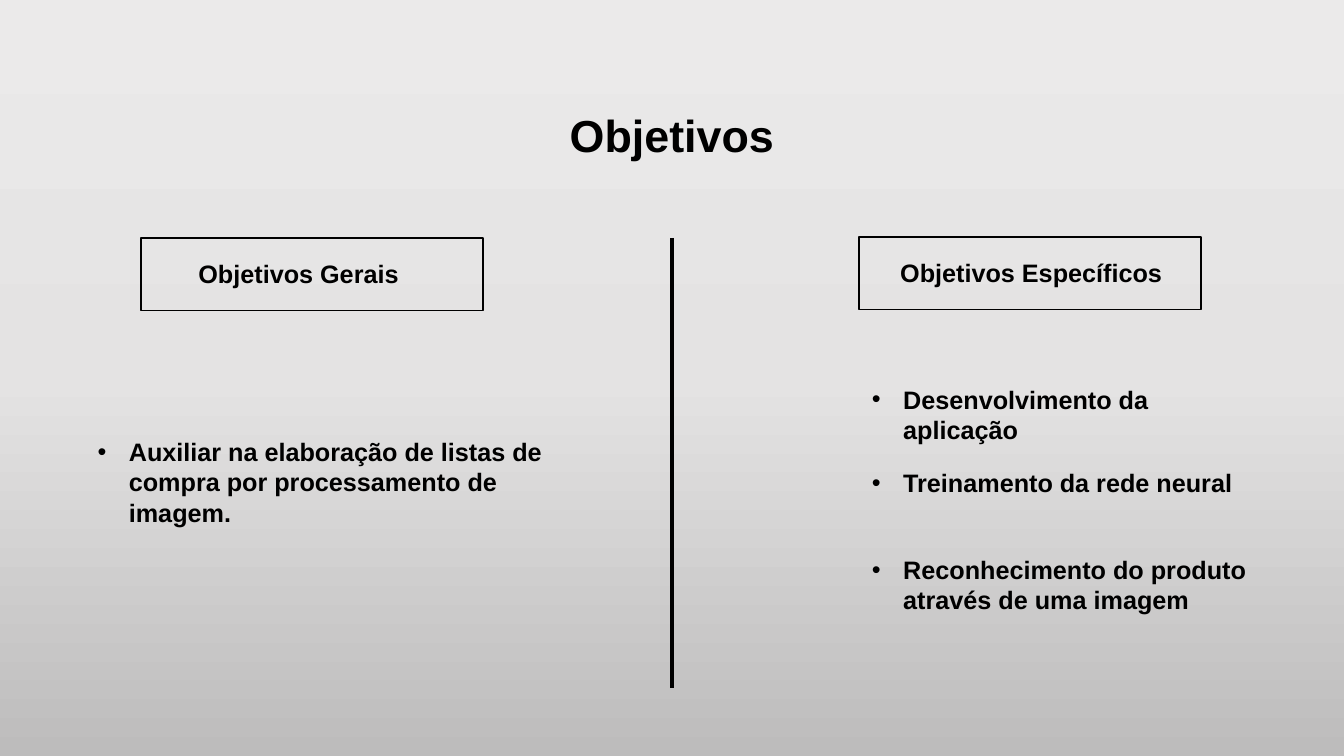
from copy import deepcopy
from dataclasses import dataclass

from lxml import etree
from pptx import Presentation
from pptx.dml.color import RGBColor
from pptx.enum.shapes import MSO_CONNECTOR, MSO_SHAPE
from pptx.enum.text import MSO_ANCHOR, PP_ALIGN
from pptx.oxml.ns import qn
from pptx.util import Inches, Pt

LEFT, CENTER = PP_ALIGN.LEFT, PP_ALIGN.CENTER
TOP = MSO_ANCHOR.TOP
RECT = MSO_SHAPE.RECTANGLE
STRAIGHT = MSO_CONNECTOR.STRAIGHT


@dataclass(frozen=True)
class Theme:
    ink: str = "000000"
    back: tuple = ((0, "EBEAEA"), (0.5, "E4E3E3"), (1, "BDBCBC"))
    font: str = "Arial"
    title: float = 32
    body: float = 18
    frame: float = 1
    rule: float = 2.25
    indent: float = 0.31


THEME = Theme()


def add_text(slide, text, box, size=THEME.body, align=LEFT, bullet=False):
    frame = slide.shapes.add_textbox(*map(Inches, box)).text_frame
    frame.word_wrap = True
    frame.vertical_anchor = TOP
    para = frame.paragraphs[0]
    para.alignment = align
    run = para.add_run()
    run.text = text
    font = run.font
    font.name, font.size, font.bold = THEME.font, Pt(size), True
    font.color.rgb = RGBColor.from_string(THEME.ink)
    if bullet:
        props = para._p.get_or_add_pPr()
        props.set("marL", str(Inches(THEME.indent)))
        props.set("indent", str(-Inches(THEME.indent)))
        etree.SubElement(props, qn("a:buFont")).set("typeface", THEME.font)
        etree.SubElement(props, qn("a:buChar")).set("char", "•")


def set_line(shape, width):
    shape.line.color.rgb = RGBColor.from_string(THEME.ink)
    shape.line.width = Pt(width)


def paint_back(slide):
    fill = slide.background.fill
    fill.gradient()
    fill.gradient_angle = 270
    first = slide._element.find(".//" + qn("a:gs"))
    first.addnext(deepcopy(first))
    for stop, (place, color) in zip(fill.gradient_stops, THEME.back):
        stop.position = place
        stop.color.rgb = RGBColor.from_string(color)


def add_head(slide, text, box, inset, width):
    x, y, _, _ = box
    frame = slide.shapes.add_shape(RECT, *map(Inches, box))
    frame.shadow.inherit = False
    frame.fill.background()
    set_line(frame, THEME.frame)
    add_text(slide, text, (x + inset, y + 0.15, width, 0.4))


def add_list(slide, items, box):
    x, y, _, _ = box
    for text, drop, width, height in items:
        add_text(slide, text, (x, y + drop, width, height), bullet=True)


def add_rule(slide, x, top, bottom):
    rule = slide.shapes.add_connector(
        STRAIGHT, *map(Inches, (x, top, x, bottom)))
    set_line(rule, THEME.rule)
    etree.SubElement(rule._element.spPr, qn("a:effectLst"))


def add_goals(slide, box):
    x, y, width, _ = box
    paint_back(slide)
    add_text(slide, "Objetivos", (x, y + 1.02, width, 1.18),
             size=THEME.title, align=CENTER)
    add_head(slide, "Objetivos Gerais",
             (x + 1.4, y + 2.36, 3.39, 0.72), 0.47, 2.43)
    add_head(slide, "Objetivos Específicos",
             (x + 8.52, y + 2.35, 3.39, 0.72), 0.31, 2.82)
    add_rule(slide, x + width / 2, y + 2.36, y + 6.83)
    add_list(slide, [
        ("Auxiliar na elaboração de listas de compra por "
         "processamento de imagem.", 0, 5.2, 1.01),
    ], (x + 0.87, y + 4.28, 5.2, 1.01))
    add_list(slide, [
        ("Desenvolvimento da aplicação", 0, 4.01, 0.71),
        ("Treinamento da rede neural", 0.83, 3.8, 0.4),
        ("Reconhecimento do produto através de uma imagem",
         1.69, 4.19, 0.71),
    ], (x + 8.55, y + 3.76, 4.19, 2.4))


def main():
    deck = Presentation()
    deck.slide_width, deck.slide_height = Inches(13.33), Inches(7.5)
    slide = deck.slides.add_slide(deck.slide_layouts[6])
    add_goals(slide, (0, 0, 13.33, 7.5))
    deck.save("out.pptx")


if __name__ == "__main__":
    main()
